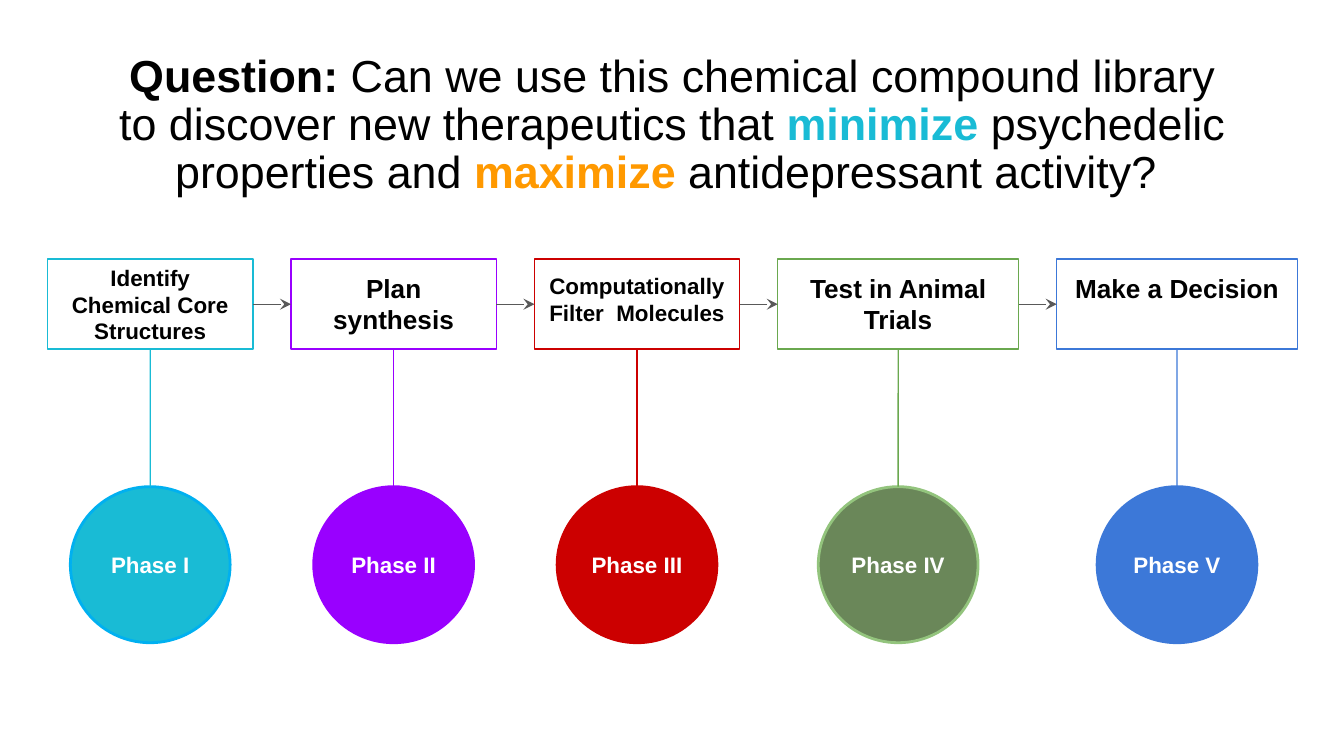
import pptx
import pptx.util
import pptx.dml.color
import pptx.enum.shapes
import pptx.enum.text
import pptx.oxml.ns
from lxml import etree
from pptx.util import Cm, Pt

COLORS = {
    "black": "000000", "white": "FFFFFF", "gray": "595959",
    "teal": "19BBD5", "sky": "00B0F0", "orange": "FF9900",
    "purple": "9900FF", "red": "CC0000", "blue": "3C78D8",
    "green": "6AA84F", "moss": "6A8759", "light green": "93C47D",
}
MIDDLE = pptx.enum.text.MSO_ANCHOR.MIDDLE
TOP = pptx.enum.text.MSO_ANCHOR.TOP

QUESTION = [
    ("Question: ", "black", True),
    ("Can we use this chemical compound library to discover new therapeutics that ", "black", False),
    ("minimize ", "teal", True),
    ("psychedelic properties and ", "black", False),
    ("maximize ", "orange", True),
    ("antidepressant activity? ", "black", False),
]
# step, phase, box width (cm), text size, text anchor, line colour, circle fill, circle outline
PHASES = [
    ("Identify Chemical Core Structures", "Phase I", 3.88, 12, MIDDLE, "teal", "teal", "sky"),
    ("Plan synthesis", "Phase II", 3.88, 14, TOP, "purple", "purple", "purple"),
    ("Computationally Filter  Molecules ", "Phase III", 3.88, 12, TOP, "red", "red", "red"),
    ("Test in Animal Trials", "Phase IV", 4.55, 14, TOP, "green", "moss", "light green"),
    ("Make a Decision", "Phase V", 4.55, 14, TOP, "blue", "blue", "blue"),
]
BOX_GAP = 0.72
BOX_HEIGHT = 1.7
CIRCLE_WIDTH, CIRCLE_HEIGHT = 3.02, 2.95
LABEL_WIDTH, LABEL_HEIGHT = 2.4, 1.02


def rgb(name):
    return pptx.dml.color.RGBColor.from_string(COLORS[name])


def set_frame(shape, anchor):
    frame = shape.text_frame
    frame.word_wrap = True
    frame.vertical_anchor = anchor
    frame.margin_left = frame.margin_right = Cm(0.25)
    frame.margin_top = frame.margin_bottom = Cm(0.25)
    paragraph = frame.paragraphs[0]
    paragraph.alignment = pptx.enum.text.PP_ALIGN.CENTER
    return paragraph


def set_text(shape, text, size, color, anchor=TOP):
    paragraph = set_frame(shape, anchor)
    paragraph.text = text
    paragraph.font.name = "Arial"
    paragraph.font.size = Pt(size)
    paragraph.font.bold = True
    paragraph.font.color.rgb = rgb(color)


def add_outlined(slide, kind, left, top, width, height, line, points, fill=None):
    shape = slide.shapes.add_shape(kind, Cm(left), Cm(top), Cm(width), Cm(height))
    shape.shadow.inherit = False
    if fill:
        shape.fill.solid()
        shape.fill.fore_color.rgb = rgb(fill)
    else:
        shape.fill.background()
    shape.line.color.rgb = rgb(line)
    shape.line.width = Pt(points)
    return shape


def join(slide, start, start_site, end, end_site, color, arrow=False):
    """Glue a straight line to two shapes at their connection sites."""
    connector = slide.shapes.add_connector(
        pptx.enum.shapes.MSO_CONNECTOR.STRAIGHT, 0, 0, 0, 0)
    connector.begin_connect(start, start_site)
    connector.end_connect(end, end_site)
    connector.line.color.rgb = rgb(color)
    connector.line.width = Pt(0.75)
    if arrow:
        etree.SubElement(connector.line._get_or_add_ln(),
                         pptx.oxml.ns.qn("a:tailEnd"), type="stealth")
    etree.SubElement(connector._element.spPr, pptx.oxml.ns.qn("a:effectLst"))


def add_question(slide, left, top, width, height):
    title = slide.shapes.title
    title.left, title.top = Cm(left), Cm(top)
    title.width, title.height = Cm(width), Cm(height)
    paragraph = set_frame(title, MIDDLE)
    title.text_frame.auto_size = pptx.enum.text.MSO_AUTO_SIZE.NONE
    paragraph.line_spacing = 0.9
    paragraph.font.name = "Arial"
    paragraph.font.size = Pt(24)
    for text, color, bold in QUESTION:
        run = paragraph.add_run()
        run.text = text
        run.font.bold = bold
        run.font.color.rgb = rgb(color)


def add_phase(slide, left, top, width, height, phase):
    """Add a step box at the top of the column and its circle at the bottom."""
    step, name, _, size, anchor, line, fill, outline = phase
    kinds = pptx.enum.shapes.MSO_SHAPE
    center = left + width / 2
    circle_top = top + height - CIRCLE_HEIGHT

    circle = add_outlined(slide, kinds.OVAL, center - CIRCLE_WIDTH / 2, circle_top,
                          CIRCLE_WIDTH, CIRCLE_HEIGHT, outline, 1.5, fill)
    label = slide.shapes.add_textbox(
        Cm(center - LABEL_WIDTH / 2), Cm(circle_top + (CIRCLE_HEIGHT - LABEL_HEIGHT) / 2),
        Cm(LABEL_WIDTH), Cm(LABEL_HEIGHT))
    set_text(label, name, 12, "white")
    box = add_outlined(slide, kinds.RECTANGLE, left, top, width, BOX_HEIGHT, line, 0.75)
    set_text(box, step, size, "black", anchor)
    join(slide, circle, 0, box, 2, line)
    return box


def add_pipeline(slide, left, top, height):
    previous = None
    for phase in PHASES:
        width = phase[2]
        box = add_phase(slide, left, top, width, height, phase)
        if previous is not None:
            join(slide, previous, 3, box, 1, "gray", arrow=True)
        previous = box
        left += width + BOX_GAP


def main():
    presentation = pptx.Presentation()
    presentation.slide_width = Cm(25.4)
    presentation.slide_height = Cm(14.29)
    slide = presentation.slides.add_slide(presentation.slide_layouts[5])
    add_question(slide, 1.75, 1, 21.9, 2.76)
    add_pipeline(slide, 0.9, 4.9, 7.25)
    presentation.save("out.pptx")


if __name__ == "__main__":
    main()
